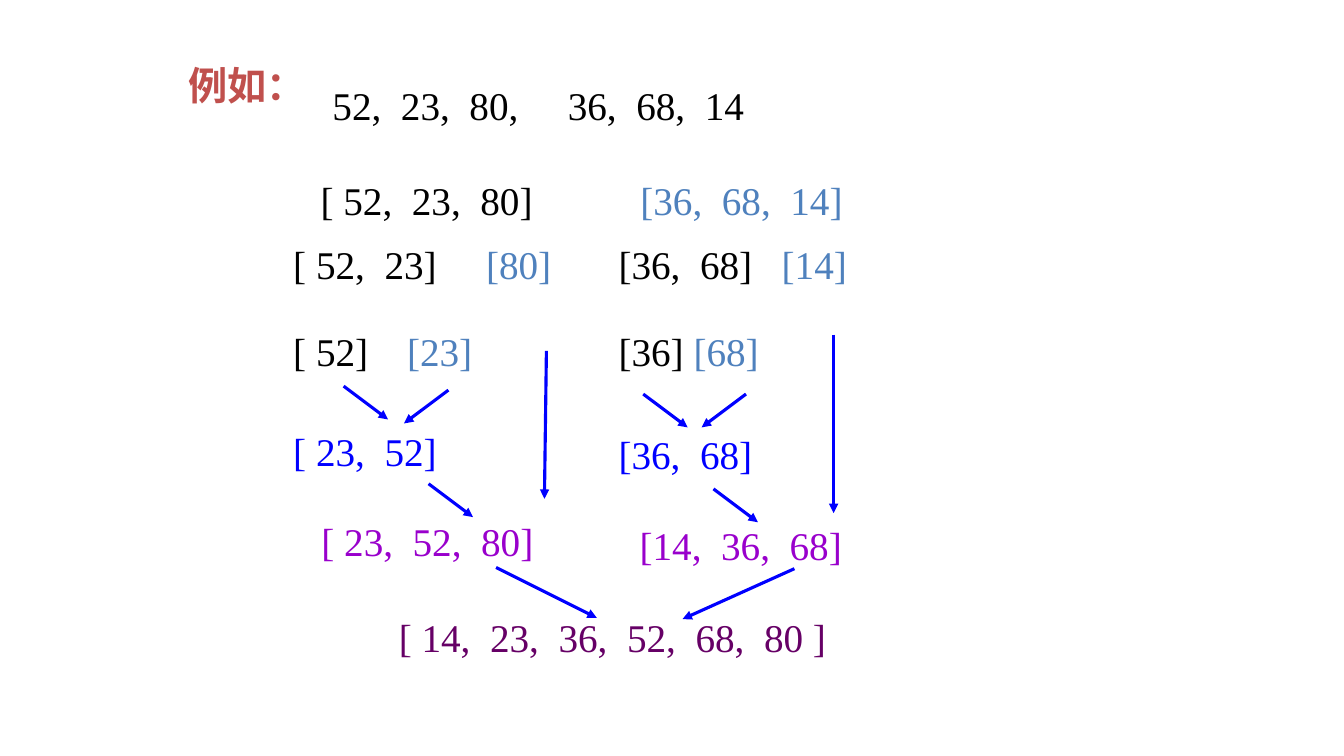
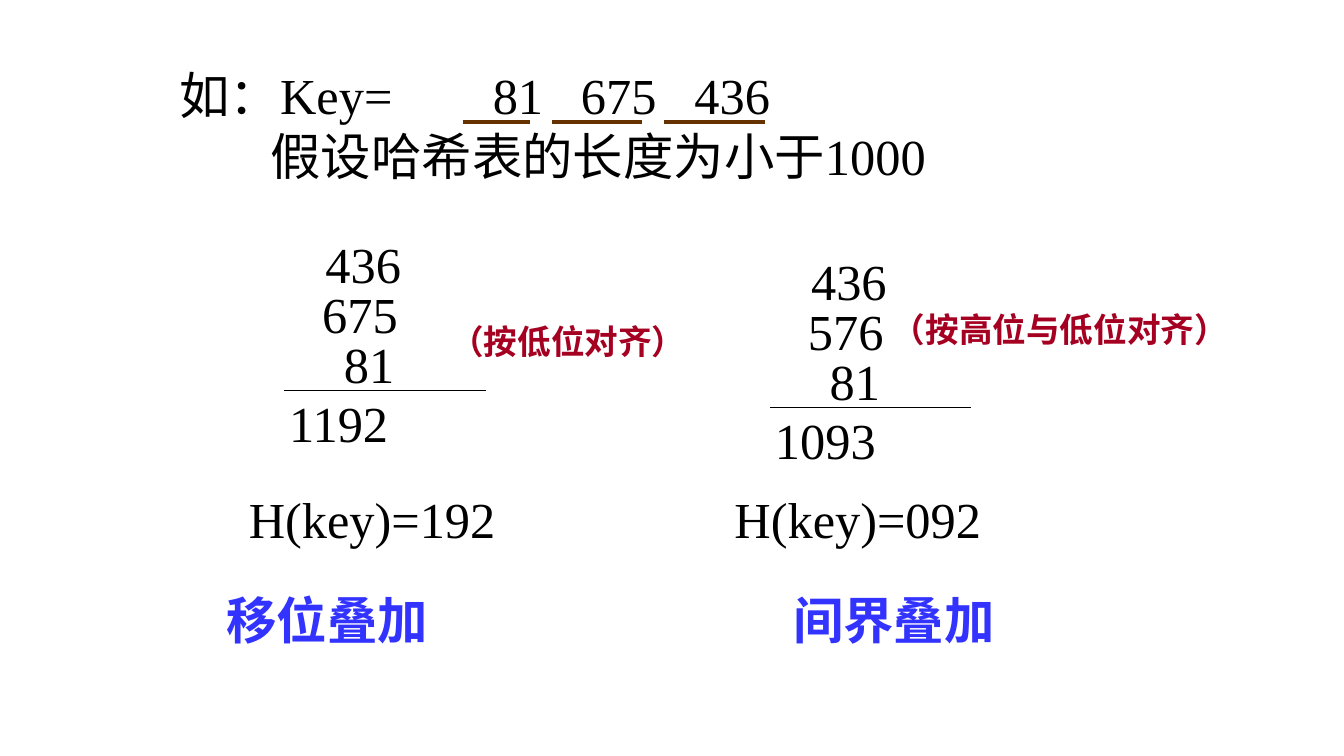
from lxml import etree
from pptx import Presentation
from pptx import util as u
from pptx.dml.color import RGBColor
from pptx.enum import shapes, text
from pptx.oxml.ns import qn

FONT = "Times New Roman"
BLACK, RED, SKY = "000000", "C0504D", "4F81BD"
BLUE, VIOLET, PLUM = "0000FF", "9900CC", "660066"
INDIGO, CRIMSON, BROWN = "3333FF", "A50021", "663300"

NUMBERS = {"size": u.Pt(28), "bold": None, "name": FONT}
HEADING = {**NUMBERS, "bold": True}
FIGURES = {**NUMBERS, "size": u.Pt(36)}
CAPTION = {**FIGURES, "bold": True}
REMARK = {**CAPTION, "size": u.Pt(24)}

HEIGHT = {28: 1.45, 36: 1.8, 24: 1.27}
ARROW_DX, ARROW_DY = 1.12, 0.84


def rgb(value):
    return RGBColor.from_string(value)


def write(slide, left, top, width, paragraphs, style, tabs=(), indents=()):
    """Place a text box; each paragraph is a list of (wording, colour) runs.

    Tab stops apply to the first paragraph, indents to each in turn.
    """
    height = HEIGHT[int(style["size"].pt)]
    box = slide.shapes.add_textbox(*map(u.Cm, (left, top, width, height)))
    frame = box.text_frame
    frame.word_wrap = bool(tabs)
    frame.auto_size = text.MSO_AUTO_SIZE.SHAPE_TO_FIT_TEXT
    for index, runs in enumerate(paragraphs):
        paragraph = frame.add_paragraph() if index else frame.paragraphs[0]
        properties = paragraph._p.get_or_add_pPr()
        if index < len(indents):
            properties.set("marL", str(u.Cm(indents[index])))
        if tabs and not index:
            stops = etree.SubElement(properties, qn("a:tabLst"))
            for position in tabs:
                etree.SubElement(stops, qn("a:tab"), pos=str(u.Cm(position)), algn="l")
        for wording, colour in runs:
            run = paragraph.add_run()
            run.text = wording
            for key, value in style.items():
                setattr(run.font, key, value)
            run.font.color.rgb = rgb(colour)


def draw_line(slide, start, end, colour, weight, arrow=False):
    line = slide.shapes.add_connector(
        shapes.MSO_CONNECTOR.STRAIGHT, *map(u.Cm, (*start, *end)))
    line.line.color.rgb = rgb(colour)
    line.line.width = u.Pt(weight)
    if arrow:
        etree.SubElement(line.line._get_or_add_ln(), qn("a:tailEnd"), type="triangle")
    etree.SubElement(line._element.spPr, qn("a:effectLst"))


def merge_half(slide, left, top, rows, arrows):
    """Split one half of the list and merge it again, relative to its corner."""
    for dx, dy, width, runs, tabs in rows:
        write(slide, left + dx, top + dy, width, [runs], NUMBERS, tabs)
    for x, y, dx, dy in arrows:
        start = (left + x, top + y)
        draw_line(slide, start, (start[0] + dx, start[1] + dy), BLUE, 2.25, True)


def merge_sort_slide(slide):
    write(slide, 4.5, 1.42, 3.53, [[("例如：", RED)]], HEADING)
    write(slide, 8.13, 1.93, 12, [[("52,  23,  80,\t36,  68,  14", BLACK)]],
          NUMBERS, [5.93])
    write(slide, 7.83, 4.32, 16.5,
          [[("[ 52,  23,  80]\t", BLACK), ("[36,  68,  14]", SKY)]], NUMBERS, [8.06])

    merge_half(slide, 7.14, 5.92, [
        (0, 0, 7.5, [("[ 52,  23]\t", BLACK), ("[80]", SKY)], [4.86]),
        (0, 2.21, 2.4, [("[ 52]", BLACK)], ()),
        (2.87, 2.21, 2.18, [("[23]", SKY)], ()),
        (0, 4.72, 4.17, [("[ 23,  52]", BLUE)], ()),
        (0.71, 6.99, 5.92, [("[ 23,  52,  80]", VIOLET)], ()),
    ], [
        (1.52, 3.81, ARROW_DX, ARROW_DY),
        (4.16, 3.91, -ARROW_DX, ARROW_DY),
        (3.66, 6.27, ARROW_DX, ARROW_DY),
        (6.63, 2.92, -0.05, 3.73),
        (5.36, 8.38, 2.54, 1.27),
    ])
    merge_half(slide, 15.34, 5.92, [
        (0, 0, 7, [("[36,  68]\t", BLACK), ("[14]", SKY)], [4.11]),
        (0, 2.21, 4.09, [("[36] ", BLACK), ("[68]", SKY)], ()),
        (0, 4.8, 3.91, [("[36,  68]", BLUE)], ()),
        (0.53, 7.09, 5.66, [("[14,  36,  68]", VIOLET)], ()),
    ], [
        (0.87, 4.01, ARROW_DX, ARROW_DY),
        (3.46, 4.01, -ARROW_DX, ARROW_DY),
        (2.64, 6.4, ARROW_DX, ARROW_DY),
        (5.67, 2.51, 0, 4.5),
        (4.68, 8.41, -2.82, 1.27),
    ])
    write(slide, 9.8, 15.32, 11.4,
          [[("[ 14,  23,  36,  52,  68,  80 ]", PLUM)]], NUMBERS)


def folding_sum(slide, left, top, addends, total, hashed, caption, remark):
    """Add up the key's parts; caption and remark are (wording, x, y, width)."""
    for row, (addend, dx) in enumerate(zip(addends, (1.93, 1.85, 2.4))):
        width = 0.51 + 0.635 * len(addend)
        write(slide, left + dx, top + 1.27 * row, width, [[(addend, BLACK)]], FIGURES)
    rule_y = top + 4.1
    draw_line(slide, (left + 1.14, rule_y), (left + 6.22, rule_y), BLACK, 0.75)
    write(slide, left + 1.02, top + 4.01, 3.05, [[(total, BLACK)]], FIGURES)
    write(slide, left, 12.17, 6.78, [[("H(key)=" + hashed, BLACK)]], FIGURES)
    for (wording, dx, y, width), colour, style in (
            (caption, INDIGO, CAPTION), (remark, CRIMSON, REMARK)):
        write(slide, left + dx, y, width, [[(wording, colour)]], style)


def folding_slide(slide):
    write(slide, 4.27, 1.5, 28.93, [
        [("如：Key=\t81\t675\t436", BLACK)],
        [("假设哈希表的长度为小于1000", BLACK)],
    ], FIGURES, [7.9, 10.12, 12.98], [0, 2.3])
    for start, end in ((11.66, 13.36), (13.92, 16.18), (16.74, 19.28)):
        draw_line(slide, (start, 3.07), (end, 3.07), BROWN, 3)
    folding_sum(slide, 6.02, 5.74, ("436", "675", "81"), "1192", "192",
                ("移位叠加", -0.56, 14.71, 5.66), ("（按低位对齐）", 5.08, 7.95, 6.53))
    folding_sum(slide, 18.26, 6.17, ("436", "576", "81"), "1093", "092",
                ("间界叠加", 1.48, 14.71, 5.66), ("（按高位与低位对齐）", 3.97, 7.65, 9.12))


def main():
    deck = Presentation()
    deck.slide_width, deck.slide_height = u.Cm(33.87), u.Cm(19.05)
    for build in (merge_sort_slide, folding_slide):
        build(deck.slides.add_slide(deck.slide_layouts[6]))
    deck.save("out.pptx")


if __name__ == "__main__":
    main()
